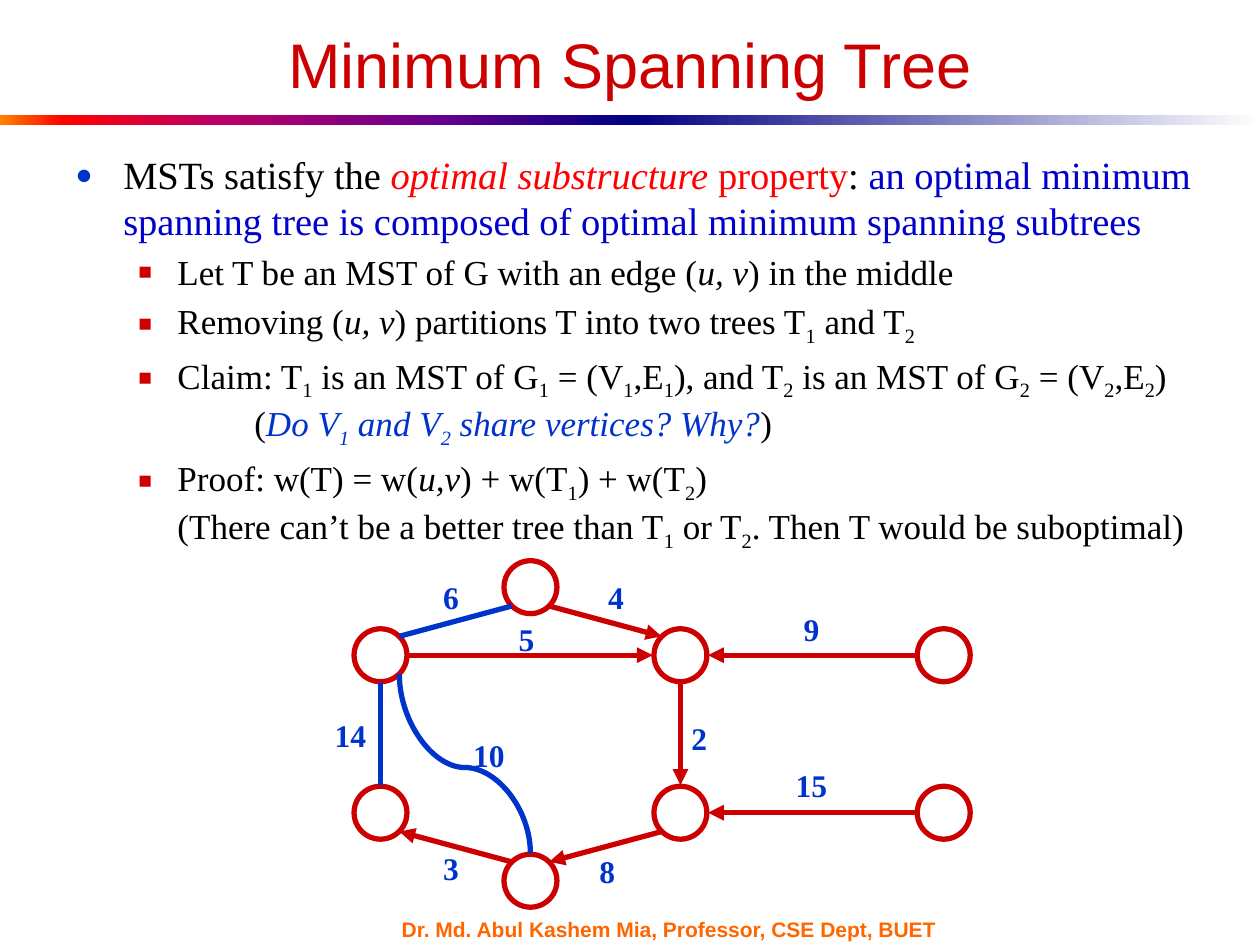
from lxml import etree
from pptx import Presentation
from pptx.dml.color import RGBColor
from pptx.enum.shapes import MSO_CONNECTOR, MSO_SHAPE
from pptx.enum.text import MSO_ANCHOR, PP_ALIGN
from pptx.oxml.ns import qn
from pptx.util import Inches, Pt

RECT, OVAL = MSO_SHAPE.RECTANGLE, MSO_SHAPE.OVAL
LINE, CURVE = MSO_CONNECTOR.STRAIGHT, MSO_CONNECTOR.CURVE
MIDDLE, TOP = MSO_ANCHOR.MIDDLE, MSO_ANCHOR.TOP
LEFT, CENTER = PP_ALIGN.LEFT, PP_ALIGN.CENTER
SANS, SERIF = "Arial", "Times New Roman"
RED, BLUE, BLACK = "CC0000", "0033CC", "000000"
SIZE = 0.42

NODES = {
    "left": (3.02, 5.2), "mid": (5.4, 5.2), "right": (7.49, 5.2),
    "low left": (3.02, 6.45), "low mid": (5.4, 6.45), "low right": (7.49, 6.45),
    "bottom": (4.21, 6.99), "top": (4.21, 4.66),
}
SIDES = {
    "n": (0, -0.22), "s": (0, 0.22), "w": (-0.22, 0), "e": (0.22, 0),
    "nw": (-0.15, -0.15), "ne": (0.15, -0.15),
    "sw": (-0.15, 0.15), "se": (0.15, 0.15),
}
EDGES = [
    ("top", "se", "mid", "nw", RED),
    ("top", "sw", "left", "ne", BLUE),
    ("left", "e", "mid", "w", RED),
    ("low left", "n", "left", "s", BLUE),
    ("bottom", "nw", "low left", "se", RED),
    ("low mid", "sw", "bottom", "ne", RED),
    ("mid", "s", "low mid", "n", RED),
    ("right", "w", "mid", "e", RED),
    ("low right", "w", "low mid", "e", RED),
]
WEIGHTS = [
    ("10", 3.88, 5.99), ("3", 3.58, 6.89), ("6", 3.58, 4.74), ("4", 4.89, 4.74),
    ("5", 4.18, 5.07), ("2", 5.55, 5.86), ("9", 6.44, 4.99), ("15", 6.44, 6.23),
    ("8", 4.82, 6.91), ("14", 2.78, 5.83),
]
DOT, BOX = ("●", BLUE, 75), ("■", RED, 65)
BODY = [
    (DOT, 22, 0.38, -0.38, [
        ("MSTs satisfy the ", BLACK, False),
        ("optimal substructure", "FF0000", True),
        (" property", "FF0000", False),
        (": ", BLACK, False),
        ("an optimal minimum spanning tree is composed of "
         "optimal minimum spanning subtrees", "0000CC", False)]),
    (BOX, 20, 0.81, -0.31, [
        ("Let T be an MST of G with an edge (", BLACK, False),
        ("u, v", BLACK, True),
        (") in the middle", BLACK, False)]),
    (BOX, 20, 0.81, -0.31, [
        ("Removing (", BLACK, False),
        ("u, v", BLACK, True),
        (") partitions T into two trees T_1_ and T_2_", BLACK, False)]),
    (BOX, 20, 0.81, -0.31, [
        ("Claim: T_1_ is an MST of G_1_ = (V_1_,E_1_), and "
         "T_2_ is an MST of G_2_ = (V_2_,E_2_)", BLACK, False)]),
    (None, 20, 1.42, 0, [
        ("(", BLACK, False),
        ("Do V_1_ and V_2_ share vertices? Why?", BLUE, True),
        (")", BLACK, False)]),
    (BOX, 20, 0.81, -0.31, [
        ("Proof: w(T) = w(", BLACK, False),
        ("u,v", BLACK, True),
        (") + w(T_1_) + w(T_2_)", BLACK, False)]),
    (None, 20, 0.81, 0, [
        ("(There can’t be a better tree than T_1_ or T_2_. "
         "Then T would be suboptimal)", BLACK, False)]),
]


def color(code):
    return RGBColor.from_string(code)


def child(node, tag, **attrs):
    return etree.SubElement(node, qn(tag), attrs)


def style(font, name, size, code, bold=False, italic=False):
    font.name, font.size = name, Pt(size)
    font.bold, font.italic = bold, italic
    font.color.rgb = color(code)


def add_bar(slide, left, stops):
    bar = slide.shapes.add_shape(RECT, Inches(left), Inches(0.91), Inches(5), Inches(0.08))
    bar.shadow.inherit = False
    bar.line.fill.background()
    bar.fill.gradient()
    bar.fill.gradient_angle = 0
    ramp = bar._element.spPr.find(".//" + qn("a:gsLst"))
    for old in list(ramp):
        ramp.remove(old)
    for spot, code in stops:
        stop = child(ramp, "a:gs", pos=str(spot * 1000))
        child(stop, "a:srgbClr", val=code)


def add_box(slide, left, top, width, height, anchor, wrap=True):
    box = slide.shapes.add_textbox(Inches(left), Inches(top), Inches(width), Inches(height))
    frame = box.text_frame
    frame.word_wrap = wrap
    frame.vertical_anchor = anchor
    return frame


def add_text(slide, text, place, name, size, code, bold, align, wrap=True):
    frame = add_box(slide, *place, MIDDLE, wrap)
    frame.text = text
    para = frame.paragraphs[0]
    para.alignment = align
    style(para.runs[0].font, name, size, code, bold)


def add_bullet(para, mark, left, indent):
    props = para._p.get_or_add_pPr()
    props.set("marL", str(Inches(left)))
    props.set("indent", str(Inches(indent)))
    if mark is None:
        child(props, "a:buNone")
        return
    sign, code, size = mark
    child(child(props, "a:buClr"), "a:srgbClr", val=code)
    child(props, "a:buSzPct", val=str(size * 1000))
    child(props, "a:buFont", typeface=SANS)
    child(props, "a:buChar", char=sign)


def add_body(slide):
    frame = add_box(slide, 0.5, 1.15, 9.19, 3.3, TOP)
    for row, (mark, size, left, indent, parts) in enumerate(BODY):
        para = frame.add_paragraph() if row else frame.paragraphs[0]
        add_bullet(para, mark, left, indent)
        para.space_before = Pt(size * 0.2 if row and mark else 0)
        for text, code, italic in parts:
            for spot, bit in enumerate(text.split("_")):
                if not bit:
                    continue
                run = para.add_run()
                run.text = bit
                style(run.font, SERIF, size, code, italic=italic)
                if spot % 2:
                    run.font._element.set("baseline", "-25000")


def add_node(slide, x, y):
    node = slide.shapes.add_shape(
        OVAL, Inches(x - SIZE / 2), Inches(y - SIZE / 2), Inches(SIZE), Inches(SIZE))
    node.shadow.inherit = False
    node.fill.background()
    node.line.color.rgb = color(RED)
    node.line.width = Pt(3)


def port(name, side):
    return [a + b for a, b in zip(NODES[name], SIDES[side])]


def add_link(slide, kind, start, end, code):
    link = slide.shapes.add_connector(kind, *map(Inches, (*start, *end)))
    link.line.color.rgb = color(code)
    link.line.width = Pt(3)
    props = link._element.spPr
    if code == RED:
        child(props.find(qn("a:ln")), "a:tailEnd", type="triangle")
    child(props, "a:effectLst")
    return link


def add_curve(slide):
    (x1, y1), (x2, y2) = port("bottom", "n"), port("left", "se")
    x, y = (x1 + x2) / 2, (y1 + y2) / 2
    wide, high = (y1 - y2) / 2, (x1 - x2) / 2
    link = add_link(slide, CURVE, (x + wide, y - high), (x - wide, y + high), BLUE)
    props = link._element.spPr
    props.find(qn("a:xfrm")).set("rot", "5400000")
    shape = props.find(qn("a:prstGeom"))
    guides = shape.find(qn("a:avLst"))
    if guides is None:
        guides = child(shape, "a:avLst")
    child(guides, "a:gd", name="adj1", fmla="val 47800")


def main():
    deck = Presentation()
    deck.slide_width, deck.slide_height = Inches(10), Inches(7.5)
    slide = deck.slides.add_slide(deck.slide_layouts[6])
    add_bar(slide, 0, [(0, "FF8200"), (10, "FF0000"), (35, "BA0066"),
                       (70, "66008F"), (100, "000082")])
    add_bar(slide, 5, [(0, "000082"), (100, "FFFFFF")])
    add_text(slide, "Dr. Md. Abul Kashem Mia, Professor, CSE Dept, BUET",
             (3.09, 7.28, 4.67, 0.18), SANS, 12, "FF6600", True, LEFT)
    add_text(slide, "Minimum Spanning Tree", (0.5, 0.25, 9, 0.51),
             SANS, 36, RED, False, CENTER)
    add_body(slide)
    for x, y in NODES.values():
        add_node(slide, x, y)
    for first, out, last, into, code in EDGES:
        add_link(slide, LINE, port(first, out), port(last, into), code)
    add_curve(slide)
    for text, x, y in WEIGHTS:
        wide = 0.21 + 0.12 * len(text)
        add_text(slide, text, (x - wide / 2, y - 0.2, wide, 0.4),
                 SERIF, 18, BLUE, True, CENTER, False)
    deck.save("out.pptx")


if __name__ == "__main__":
    main()
